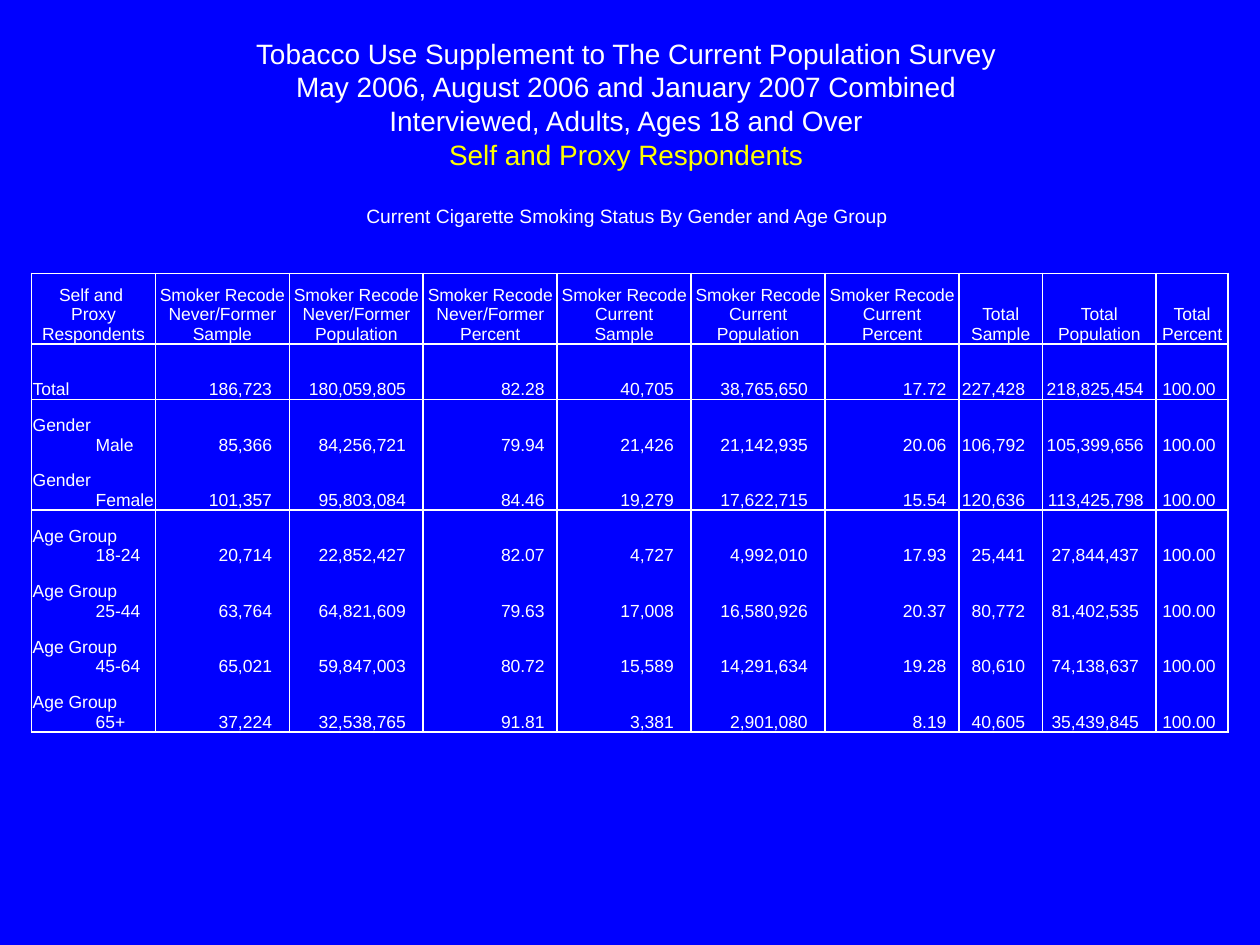
from pptx import Presentation
from pptx.dml.color import RGBColor
from pptx.enum.text import MSO_ANCHOR, PP_ALIGN
from pptx.oxml import parse_xml
from pptx.oxml.ns import nsdecls
from pptx.util import Inches, Pt

WHITE, YELLOW, BLUE = "FFFFFF", "FFFF00", "0000FF"

TITLE_LINES = [
    ("Tobacco Use Supplement to The Current Population Survey ", 16, WHITE, 0),
    ("May 2006, August 2006 and January 2007 Combined ", 16, WHITE, 0),
    ("Interviewed, Adults, Ages 18 and Over ", 16, WHITE, 0),
    ("Self and Proxy Respondents ", 16, YELLOW, 0),
    ("Current Cigarette Smoking Status By Gender and Age Group ", 11, WHITE, 19),
]

MEASURES = ["Sample", "Population", "Percent"]
GROUPS = ["Smoker Recode\nNever/Former", "Smoker Recode\nCurrent", "Total"]
HEADERS = ["Self and \nProxy Respondents"] + [
    f"{group}\n{measure}" for group in GROUPS for measure in MEASURES
]

RESPONDENTS = [
    ("Total", 186723, 180059805, 82.28, 40705, 38765650, 17.72, 227428, 218825454, 100.0),
    ("Gender\nMale", 85366, 84256721, 79.94, 21426, 21142935, 20.06, 106792, 105399656, 100.0),
    ("Gender\nFemale", 101357, 95803084, 84.46, 19279, 17622715, 15.54, 120636, 113425798, 100.0),
    ("Age Group\n18-24", 20714, 22852427, 82.07, 4727, 4992010, 17.93, 25441, 27844437, 100.0),
    ("Age Group\n25-44", 63764, 64821609, 79.63, 17008, 16580926, 20.37, 80772, 81402535, 100.0),
    ("Age Group\n45-64", 65021, 59847003, 80.72, 15589, 14291634, 19.28, 80610, 74138637, 100.0),
    ("Age Group\n65+", 37224, 32538765, 91.81, 3381, 2901080, 8.19, 40605, 35439845, 100.0),
]

TABLE_WIDTH = 9.5
COLUMN_SHARES = [0.98] + [1.06] * 6 + [0.66, 0.9, 0.57]
COLUMN_WIDTHS = [share * TABLE_WIDTH / sum(COLUMN_SHARES) for share in COLUMN_SHARES]
ROW_HEIGHTS = [0.56] + [0.44] * len(RESPONDENTS)
RULED_ROW_EDGES = {0, 1, 2, 4, 8}


def color(value):
    return RGBColor.from_string(value)


def format_value(value):
    return f"{value:.2f}" if isinstance(value, float) else f"{value:,} "


class SlideBuilder:
    font_name = "Arial"
    table_size = 10

    def __init__(self, slide):
        self.slide = slide

    def background(self, fill_color):
        fill = self.slide.background.fill
        fill.solid()
        fill.fore_color.rgb = color(fill_color)

    def style(self, paragraph, size, text_color, alignment):
        paragraph.font.name = self.font_name
        paragraph.font.size = Pt(size)
        paragraph.font.color.rgb = color(text_color)
        paragraph.alignment = alignment

    def heading(self, lines, left, top, width, height):
        shape = self.slide.shapes.add_textbox(
            Inches(left), Inches(top), Inches(width), Inches(height))
        frame = shape.text_frame
        frame.word_wrap = True
        frame.vertical_anchor = MSO_ANCHOR.MIDDLE
        frame.text = "\n".join(line[0] for line in lines)
        for paragraph, (_, size, text_color, gap) in zip(frame.paragraphs, lines):
            self.style(paragraph, size, text_color, PP_ALIGN.CENTER)
            paragraph.space_before = Pt(gap)

    def border(self, cell, side, visible):
        paint = (f'<a:solidFill><a:srgbClr val="{WHITE}"/></a:solidFill>'
                 if visible else "<a:noFill/>")
        cell._tc.get_or_add_tcPr().append(parse_xml(
            f'<a:ln{side} {nsdecls("a")} w="{Pt(1)}">{paint}</a:ln{side}>'))

    def cell(self, cell, text, alignment, right_margin, row_index):
        cell.text = text
        cell.vertical_anchor = MSO_ANCHOR.BOTTOM
        cell.margin_left = cell.margin_top = Inches(0.01)
        cell.margin_right = Inches(right_margin)
        cell.margin_bottom = 0
        for paragraph in cell.text_frame.paragraphs:
            self.style(paragraph, self.table_size, WHITE, alignment)
        for side in "LR":
            self.border(cell, side, True)
        self.border(cell, "T", row_index in RULED_ROW_EDGES)
        self.border(cell, "B", row_index + 1 in RULED_ROW_EDGES)
        cell.fill.background()

    def table(self, headers, records, left, top):
        table = self.slide.shapes.add_table(
            len(ROW_HEIGHTS), len(COLUMN_WIDTHS), Inches(left), Inches(top),
            Inches(TABLE_WIDTH), Inches(sum(ROW_HEIGHTS))).table
        table.first_row = table.horz_banding = False
        for column, width in zip(table.columns, COLUMN_WIDTHS):
            column.width = Inches(width)
        for row, height in zip(table.rows, ROW_HEIGHTS):
            row.height = Inches(height)
        for column_index, header in enumerate(headers):
            self.cell(table.cell(0, column_index), header, PP_ALIGN.CENTER, 0.01, 0)
        for row_index, (label, *values) in enumerate(records, 1):
            label_cell = table.cell(row_index, 0)
            self.cell(label_cell, label, PP_ALIGN.LEFT, 0, row_index)
            for paragraph in label_cell.text_frame.paragraphs[1:]:
                paragraph.level = 1
                paragraph._p.get_or_add_pPr().set("marL", str(Inches(0.5)))
            for column_index, value in enumerate(values, 1):
                self.cell(table.cell(row_index, column_index), format_value(value),
                          PP_ALIGN.RIGHT, 0.1, row_index)


def main():
    presentation = Presentation()
    presentation.slide_width = Inches(10)
    presentation.slide_height = Inches(7.5)
    builder = SlideBuilder(presentation.slides.add_slide(presentation.slide_layouts[6]))
    builder.background(BLUE)
    builder.heading(TITLE_LINES, 0.5, 0.42, 9, 1.25)
    builder.table(HEADERS, RESPONDENTS, 0.25, 2.17)
    presentation.save("out.pptx")


if __name__ == "__main__":
    main()
